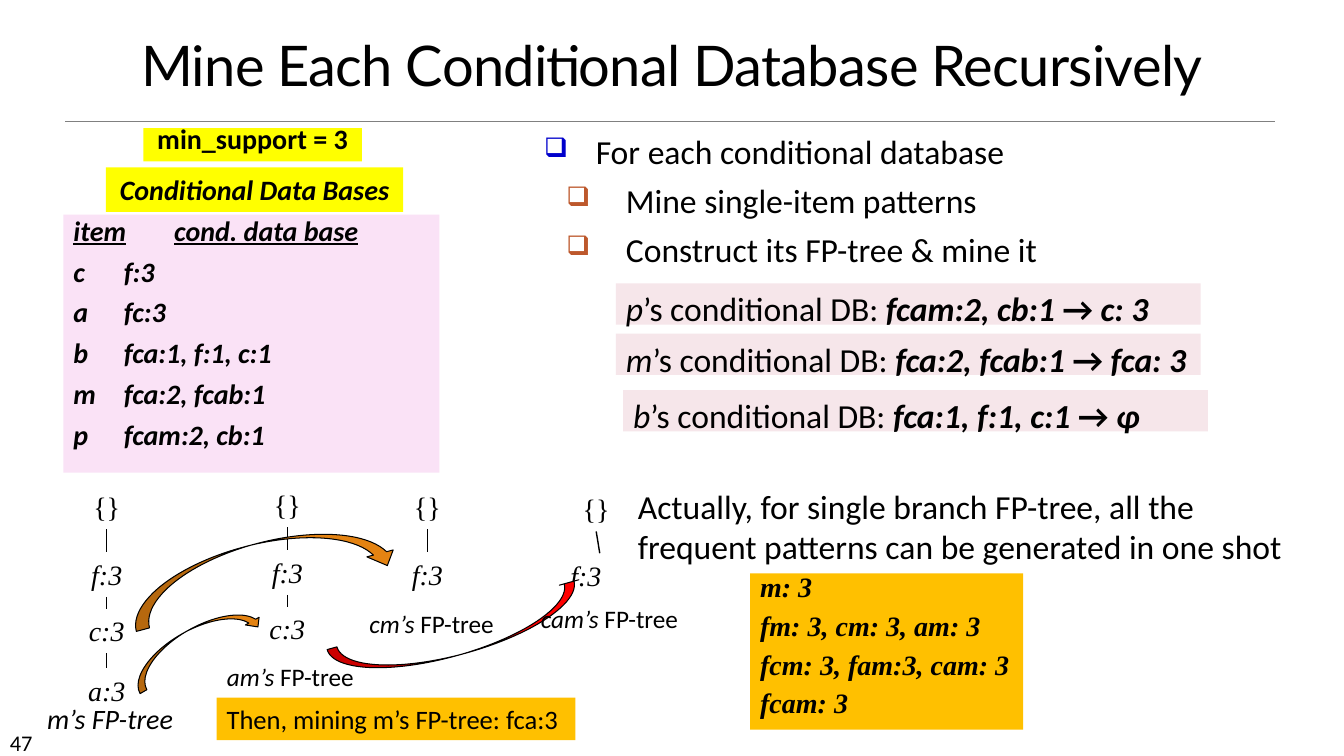
from lxml import etree
from pptx import Presentation
from pptx.dml.color import RGBColor
from pptx.enum.shapes import MSO_CONNECTOR, MSO_SHAPE as Shape
from pptx.enum.text import MSO_ANCHOR as Anchor, PP_ALIGN as Align
from pptx.oxml.ns import qn
from pptx.util import Cm, Pt

SANS, SERIF = "Calibri", "Times New Roman"
BLACK, YELLOW, AMBER, ORANGE, RED = "000000", "FFFF00", "FFC000", "E48312", "FF0000"
LILAC, ROSE = "FAE2F6", "F6E6EA"
NODE_WIDTH, NODE_HEIGHT = 1.5, 1.12
LEVEL_OFFSETS = (0, 1.7, 3.12, 4.62)


def color(hex_value):
    return RGBColor.from_string(hex_value)


def write(frame, paragraphs, size, font=SANS, align=Align.LEFT, spacing=None, before=0):
    """Fill a frame; a paragraph is a list of (text, style), style using b, i and u."""
    for index, parts in enumerate(paragraphs):
        paragraph = frame.add_paragraph() if index else frame.paragraphs[0]
        paragraph.alignment = align
        if spacing:
            paragraph.line_spacing = spacing
        if index and before:
            paragraph.space_before = Pt(before)
        for text, style in parts:
            run = paragraph.add_run()
            run.text = text
            run.font.name, run.font.size = font, Pt(size)
            run.font.color.rgb = color(BLACK)
            run.font.bold, run.font.italic = "b" in style, "i" in style
            run.font.underline = "u" in style


def add_text(slide, box, paragraphs, size, wrap=True, **layout):
    label = slide.shapes.add_textbox(*map(Cm, box))
    label.text_frame.word_wrap = wrap
    write(label.text_frame, paragraphs, size, **layout)
    return label


def add_panel(slide, box, fill, paragraphs, size, **layout):
    panel = slide.shapes.add_shape(Shape.RECTANGLE, *map(Cm, box))
    panel.shadow.inherit = False
    panel.fill.solid()
    panel.fill.fore_color.rgb = color(fill)
    panel.line.fill.background()
    panel.text_frame.word_wrap = True
    panel.text_frame.vertical_anchor = Anchor.TOP
    write(panel.text_frame, paragraphs, size, **layout)
    return panel


def add_line(slide, start, end, line_color=BLACK, width=1):
    line = slide.shapes.add_connector(MSO_CONNECTOR.STRAIGHT, *map(Cm, start + end))
    line.line.color.rgb = color(line_color)
    line.line.width = Pt(width)
    etree.SubElement(line._element.spPr, qn("a:effectLst"))
    return line


def link(slide, parent, child):
    branch = add_line(slide, (0, 0), (1, 1))
    branch.begin_connect(parent, 2)
    branch.end_connect(child, 0)


def add_node(slide, center, top, text, width=NODE_WIDTH, align=Align.CENTER):
    box = (center - width / 2, top, width, NODE_HEIGHT)
    style = "" if text == "{}" else "i"
    return add_text(slide, box, [[(text, style)]], 20, font=SERIF, align=align)


def add_tree(slide, center, top, labels):
    nodes = [add_node(slide, center, top + offset, text)
             for offset, text in zip(LEVEL_OFFSETS, labels)]
    for parent, child in zip(nodes, nodes[1:]):
        link(slide, parent, child)


def add_curved_arrow(slide, kind, box, rotation, fill, adjustments):
    arrow = slide.shapes.add_shape(kind, *map(Cm, box))
    arrow.shadow.inherit = False
    arrow.rotation = rotation
    arrow.fill.solid()
    arrow.fill.fore_color.rgb = color(fill)
    arrow.line.color.rgb = color(BLACK)
    arrow.line.width = Pt(0.75)
    for index, value in enumerate(adjustments):
        arrow.adjustments[index] = value


def add_bullet(paragraph, bullet_color, margin, hanging):
    properties = paragraph._p.get_or_add_pPr()
    properties.set("marL", str(Cm(margin)))
    properties.set("indent", str(-Cm(hanging)))
    tint = etree.SubElement(properties, qn("a:buClr"))
    etree.SubElement(tint, qn("a:srgbClr"), val=bullet_color)
    etree.SubElement(properties, qn("a:buSzPct"), val="80000")
    etree.SubElement(properties, qn("a:buChar"), char="❑")


def add_tabs(paragraph, positions):
    tabs = etree.SubElement(paragraph._p.get_or_add_pPr(), qn("a:tabLst"))
    for position in positions:
        etree.SubElement(tabs, qn("a:tab"), pos=str(Cm(position)), algn="l")


def add_heading(slide):
    add_line(slide, (1.65, 3.05), (32.13, 3.05), "808080", 0.5)
    add_text(slide, (0, 18.24, 2.97, 0.76), [[("47", "")]], 16)
    title = add_text(slide, (0, 0.91, 33.86, 1.7),
                     [[("Mine Each Conditional Database Recursively", "")]], 40,
                     font="Lato", align=Align.CENTER, spacing=0.9)
    title.text_frame.vertical_anchor = Anchor.BOTTOM
    title.text_frame.paragraphs[0].runs[0].font._element.set("spc", "-50")


def add_steps(slide):
    steps = ("For each conditional database", "Mine single-item patterns",
             "Construct its FP-tree & mine it")
    outline = add_text(slide, (13.46, 3.18, 19.2, 3.73),
                       [[(step, "")] for step in steps], 24, before=6)
    first, *details = outline.text_frame.paragraphs
    add_bullet(first, "0000CC", 1.3, 1.3)
    for detail in details:
        detail.level = 1
        add_bullet(detail, "BD582C", 2.06, 1.5)


def add_conditional_bases(slide):
    rows = ("c\tf:3", "a\tfc:3", "b\tfca:1, f:1, c:1", "m\tfca:2, fcab:1", "p\tfcam:2, cb:1")
    header = [("item\tcond. data base", "biu")]
    bases = add_panel(slide, (1.6, 5.41, 9.47, 6.5), LILAC,
                      [header] + [[(row, "bi")] for row in rows], 20,
                      spacing=0.8, before=10)
    for paragraph in bases.text_frame.paragraphs:
        add_tabs(paragraph, (1.27, 2.54))
    add_panel(slide, (2.67, 4.22, 7.49, 1.12), YELLOW,
              [[("Conditional Data Bases", "bi")]], 20, align=Align.CENTER)


def add_mined_databases(slide):
    databases = (
        (15.52, 7.14, "p", "fcam:2, cb:1 ", "→", " c: 3"),
        (15.52, 8.41, "m", "fca:2, fcab:1 ", "→ ", "fca: 3"),
        (15.7, 9.83, "b", "fca:1, f:1, c:1 ", "→", " ɸ"),
    )
    for left, top, item, base, arrow, result in databases:
        add_panel(slide, (left, top, 14.73, 1.04), ROSE,
                  [[(item, "i"), ("’s conditional DB: ", ""), (base, "bi"),
                    (arrow, "b"), (result, "bi")]], 24)


def add_trees(slide):
    leaf = add_node(slide, 15.11, 13.94, "f:3", 1.98, Align.LEFT)
    add_tree(slide, 2.69, 12.22, ("{}", "f:3", "c:3", "a:3"))
    add_tree(slide, 7.24, 12.17, ("{}", "f:3", "c:3"))
    add_tree(slide, 10.77, 12.22, ("{}", "f:3"))
    link(slide, add_node(slide, 15.02, 12.27, "{}"), leaf)

    down, up = Shape.CURVED_DOWN_ARROW, Shape.CURVED_UP_ARROW
    add_curved_arrow(slide, down, (3.15, 13.69, 6.88, 1.37), 345.3, ORANGE, (0.25, 0.5, 0.25))
    add_curved_arrow(slide, up, (8.26, 15.47, 6.58, 1.02), 344.5, RED, (0.25, 0.5, 0))
    add_curved_arrow(slide, down, (3.1, 15.85, 3.61, 0.79), 330.5, ORANGE, (0.25, 0.5, 0.25))

    captions = (
        ("am’s ", "FP-tree", "", 18, (5.41, 16.54, 3.81, 1.02)),
        ("m’s ", "FP-tree", "i", 20, (0.91, 17.55, 3.73, 1.12)),
        ("cm’s ", "FP-tree", "", 18, (8.74, 15.21, 4.27, 1.02)),
        ("cam’s ", "FP-tree", "", 18, (13.16, 15.09, 4.39, 1.02)),
    )
    for owner, noun, style, size, box in captions:
        add_text(slide, box, [[(owner, "i"), (noun, style)]], size,
                 wrap=False, align=Align.CENTER)


def add_results(slide):
    patterns = ("m: 3", "fm: 3, cm: 3, am: 3", "fcm: 3, fam:3, cam: 3", "fcam: 3")
    add_panel(slide, (18.9, 14.45, 6.88, 3.94), AMBER,
              [[(pattern, "bi")] for pattern in patterns], 20,
              font=SERIF, spacing=0.7, before=11)
    add_text(slide, (15.82, 12.12, 16.81, 2.41),
             [[("Actually, for single branch FP-tree, all the frequent patterns "
                "can be generated in one shot", "")]], 24)
    add_panel(slide, (3.61, 3.23, 5.51, 0.84), YELLOW, [[("min_support = 3", "b")]], 20,
              align=Align.CENTER, spacing=0.6)
    add_panel(slide, (5.46, 17.58, 9.04, 1.07), AMBER,
              [[("Then, mining m’s FP-tree: fca:3", "")]], 19)


def main():
    deck = Presentation()
    deck.slide_width, deck.slide_height = Cm(33.86), Cm(19.05)
    slide = deck.slides.add_slide(deck.slide_layouts[6])
    add_heading(slide)
    add_steps(slide)
    add_conditional_bases(slide)
    add_mined_databases(slide)
    add_trees(slide)
    add_results(slide)
    deck.save("out.pptx")


if __name__ == "__main__":
    main()
